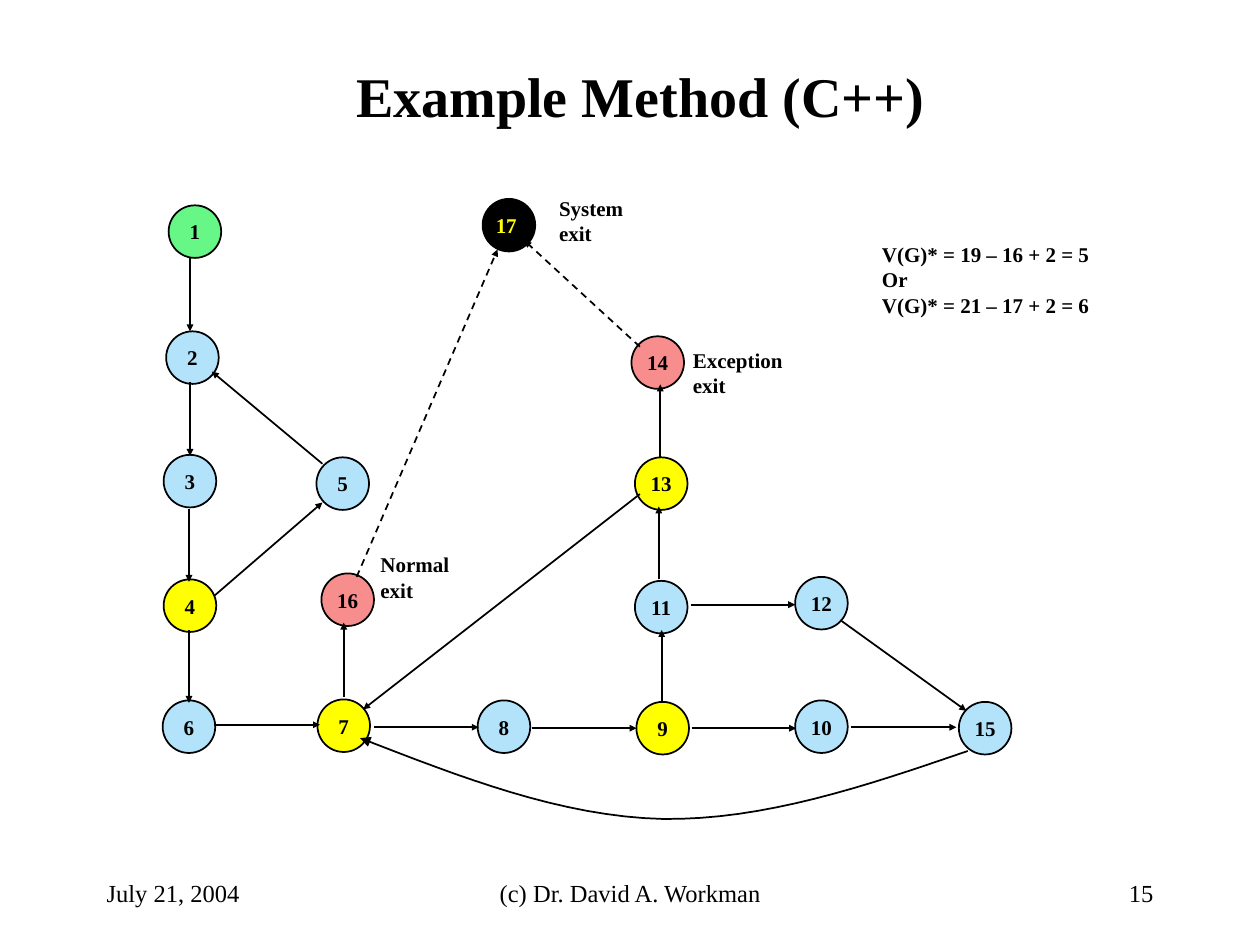
from lxml import etree
from pptx import Presentation
from pptx.dml.color import RGBColor
from pptx.enum.dml import MSO_LINE
from pptx.enum.shapes import MSO_CONNECTOR, MSO_SHAPE
from pptx.enum.text import MSO_ANCHOR, MSO_AUTO_SIZE, PP_ALIGN
from pptx.oxml.ns import qn
from pptx.util import Cm, Pt

BLACK = RGBColor(0x00, 0x00, 0x00)
BLUE = RGBColor(0xB3, 0xE3, 0xFB)
GREEN = RGBColor(0x67, 0xF7, 0x86)
YELLOW = RGBColor(0xFF, 0xFF, 0x00)
RED = RGBColor(0xF7, 0x8D, 0x8D)
FONT = "Times New Roman"
NODE_SIZE = 1.06

# All positions below are in centimetres, relative to the graph's box.
# Node: text, left, top, fill
NODES = [
    ("1", 0.2, 0.34, GREEN), ("2", 0.15, 2.88, BLUE),
    ("3", 0.1, 5.37, BLUE), ("4", 0.1, 7.88, YELLOW),
    ("5", 3.18, 5.42, BLUE), ("6", 0.08, 10.32, BLUE),
    ("7", 3.2, 10.3, YELLOW), ("8", 6.43, 10.32, BLUE),
    ("9", 9.63, 10.35, YELLOW), ("10", 12.83, 10.32, BLUE),
    ("11", 9.6, 7.91, BLUE), ("12", 12.83, 7.83, BLUE),
    ("13", 9.6, 5.42, YELLOW), ("14", 9.53, 2.98, RED),
    ("15", 16.13, 10.35, BLUE), ("16", 3.28, 7.76, RED),
    ("17 ", 6.53, 0.21, BLACK),
]
# Edge: start x, start y, end x, end y
EDGES = [
    (0.63, 1.38, 0.63, 2.88),      # 1 to 2
    (0.63, 3.9, 0.63, 5.39),       # 2 to 3
    (0.61, 6.46, 0.61, 7.93),      # 3 to 4
    (1.12, 8.21, 3.3, 6.33),       # 4 to 5
    (3.3, 5.55, 1.07, 3.69),       # 5 to 2
    (0.61, 8.9, 0.61, 10.37),      # 4 to 6
    (1.12, 10.81, 3.25, 10.81),    # 6 to 7
    (4.34, 10.86, 6.45, 10.86),    # 7 to 8
    (7.52, 10.88, 9.63, 10.88),    # 8 to 9
    (10.74, 10.88, 12.85, 10.88),  # 9 to 10
    (3.73, 10.25, 3.73, 8.75),     # 7 to 16
    (13.95, 10.86, 16.08, 10.86),  # 10 to 15
    (10.14, 10.37, 10.14, 8.9),    # 9 to 11
    (10.72, 8.39, 12.83, 8.39),    # 11 to 12
    (10.08, 7.88, 10.08, 6.41),    # 11 to 13
    (13.74, 8.7, 16.28, 10.53),    # 12 to 15
    (10.11, 5.42, 10.11, 3.95),    # 13 to 14
    (9.7, 6.16, 4.12, 10.5),       # 13 to 7
]
EXIT_EDGES = [
    (3.99, 7.83, 6.83, 1.23),      # 16 to 17
    (9.7, 3.19, 7.37, 1.05),       # 14 to 17
]
# Bezier pieces of the loop from 15 back to 7
LOOP = [
    ((16.31, 11.34), (14.25, 12.05), (12.19, 12.74), (10.16, 12.71)),
    ((10.16, 12.71), (8.1, 12.66), (6.1, 11.87), (4.06, 11.08)),
]
# Label: lines, left, top, width, height
LABELS = [
    (["Exception", "exit"], 10.52, 3.08, 2.45, 1.27),
    (["Normal", "exit"], 4.22, 7.2, 2.05, 1.27),
    (["System", "exit"], 7.82, 0.01, 1.95, 1.27),
    (["V(G)* = 19 – 16 + 2 = 5", "Or", "V(G)* = 21 – 17 + 2 = 6"],
     14.33, 0.95, 4.95, 1.78),
]


def write(box, lines, size, align=PP_ALIGN.LEFT, bold=True, color=BLACK):
    for index, text in enumerate(lines):
        frame = box.text_frame
        para = frame.add_paragraph() if index else frame.paragraphs[0]
        para.alignment = align
        span = para.add_run()
        span.text = text
        span.font.name = FONT
        span.font.size = Pt(size)
        span.font.bold = bold
        span.font.color.rgb = color


def add_text(page, lines, left, top, width, height, size,
             anchor=MSO_ANCHOR.MIDDLE, **style):
    box = page.shapes.add_textbox(Cm(left), Cm(top), Cm(width), Cm(height))
    box.text_frame.word_wrap = True
    box.text_frame.vertical_anchor = anchor
    write(box, lines, size, **style)
    return box


def style_arrow(shape, head_size):
    shape.line.color.rgb = BLACK
    shape.line.width = Pt(1)
    etree.SubElement(shape.line._get_or_add_ln(), qn("a:tailEnd"),
                     type="triangle", w=head_size, len=head_size)


def add_edge(page, left, top, edge, dashed=False):
    x1, y1, x2, y2 = edge
    arrow = page.shapes.add_connector(
        MSO_CONNECTOR.STRAIGHT,
        Cm(left + x1), Cm(top + y1), Cm(left + x2), Cm(top + y2))
    if dashed:
        arrow.line.dash_style = MSO_LINE.DASH
    style_arrow(arrow, "sm")
    etree.SubElement(arrow._element.spPr, qn("a:effectLst"))


def add_node(page, left, top, text, fill):
    node = page.shapes.add_shape(MSO_SHAPE.OVAL, Cm(left), Cm(top),
                                 Cm(NODE_SIZE), Cm(NODE_SIZE))
    node.shadow.inherit = False
    node.fill.solid()
    node.fill.fore_color.rgb = fill
    node.line.color.rgb = BLACK
    node.line.width = Pt(1)
    node.text_frame.word_wrap = False
    node.text_frame.vertical_anchor = MSO_ANCHOR.MIDDLE
    write(node, [text], 12, PP_ALIGN.CENTER,
          color=YELLOW if fill == BLACK else BLACK)


def bezier_point(piece, t):
    weights = ((1 - t) ** 3, 3 * t * (1 - t) ** 2, 3 * t * t * (1 - t), t ** 3)
    return tuple(sum(w * point[axis] for w, point in zip(weights, piece))
                 for axis in (0, 1))


def add_loop(page, left, top, steps=16):
    points = [LOOP[0][0]] + [bezier_point(piece, step / steps)
                             for piece in LOOP for step in range(1, steps + 1)]
    start, *rest = [(Cm(left + x), Cm(top + y)) for x, y in points]
    builder = page.shapes.build_freeform(*start)
    builder.add_line_segments(rest, close=False)
    loop = builder.convert_to_shape()
    loop.shadow.inherit = False
    loop.fill.background()
    style_arrow(loop, "med")


def add_graph(page, left, top):
    for text, x, y, fill in NODES:
        add_node(page, left + x, top + y, text, fill)
    for edge in EDGES:
        add_edge(page, left, top, edge)
    add_loop(page, left, top)
    for edge in EXIT_EDGES:
        add_edge(page, left, top, edge, dashed=True)
    for lines, x, y, width, height in LABELS:
        label = add_text(page, lines, left + x, top + y, width, height, 12,
                         anchor=MSO_ANCHOR.TOP)
        label.text_frame.auto_size = MSO_AUTO_SIZE.SHAPE_TO_FIT_TEXT


def add_footer(page, left, top, width, height):
    side, middle = 5.28, 8.05
    parts = [
        ("July 21, 2004", 0, side, PP_ALIGN.LEFT),
        ("(c) Dr. David A. Workman", 6.78, middle, PP_ALIGN.CENTER),
        ("15", width - side, side, PP_ALIGN.RIGHT),
    ]
    for text, x, part_width, align in parts:
        add_text(page, [text], left + x, top, part_width, height, 14,
                 align=align, bold=False)


def main():
    deck = Presentation()
    deck.slide_width, deck.slide_height = Cm(25.4), Cm(19.05)
    page = deck.slides.add_slide(deck.slide_layouts[6])
    # Title
    add_text(page, ["Example Method (C++)"], 2.12, 1.06, 21.59, 1.7, 32,
             align=PP_ALIGN.CENTER)
    # Control flow graph with its labels
    add_graph(page, 3.2, 3.8)
    # Date, author and page number
    add_footer(page, 1.9, 17.36, 21.6, 1.27)
    deck.save("out.pptx")


if __name__ == "__main__":
    main()
